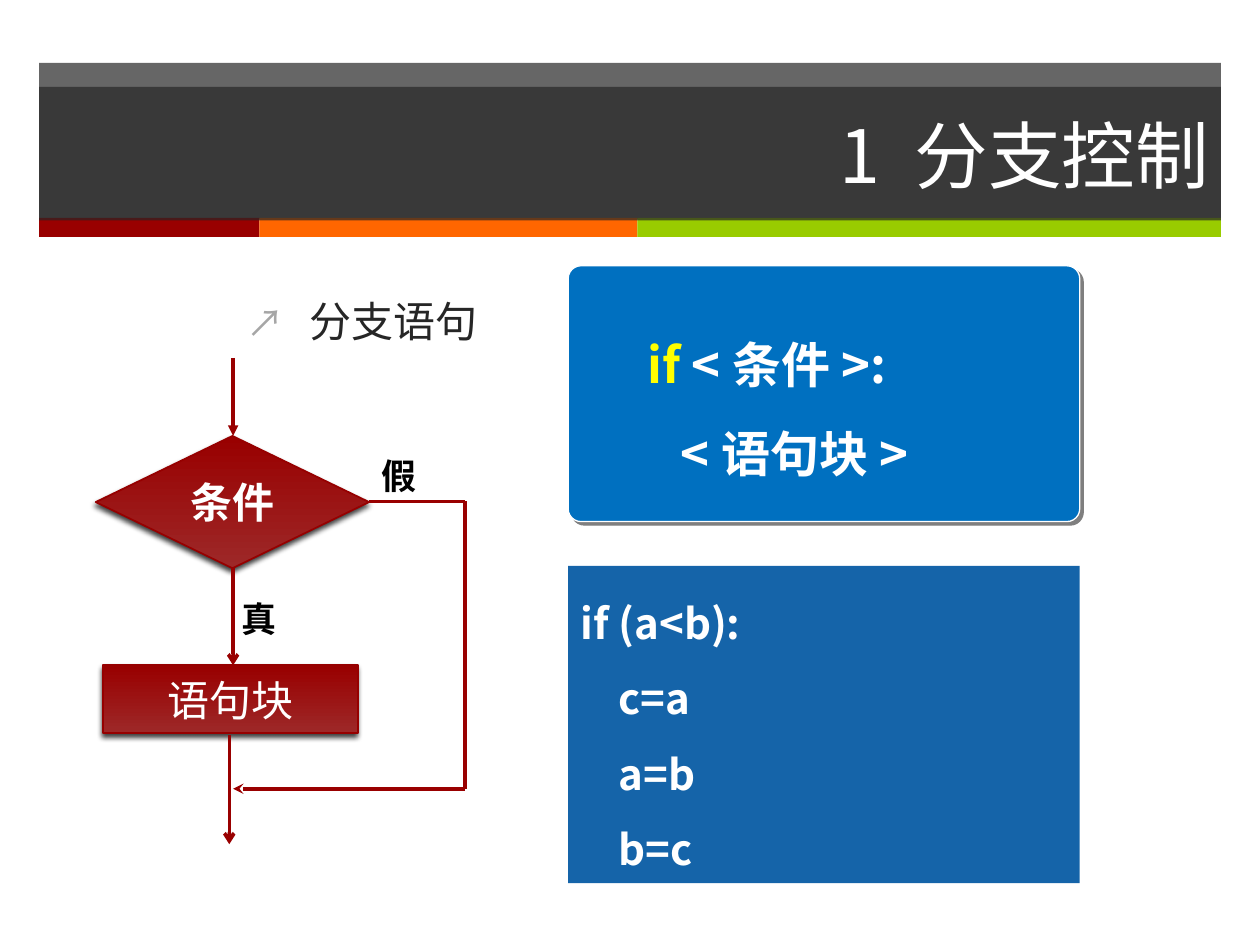
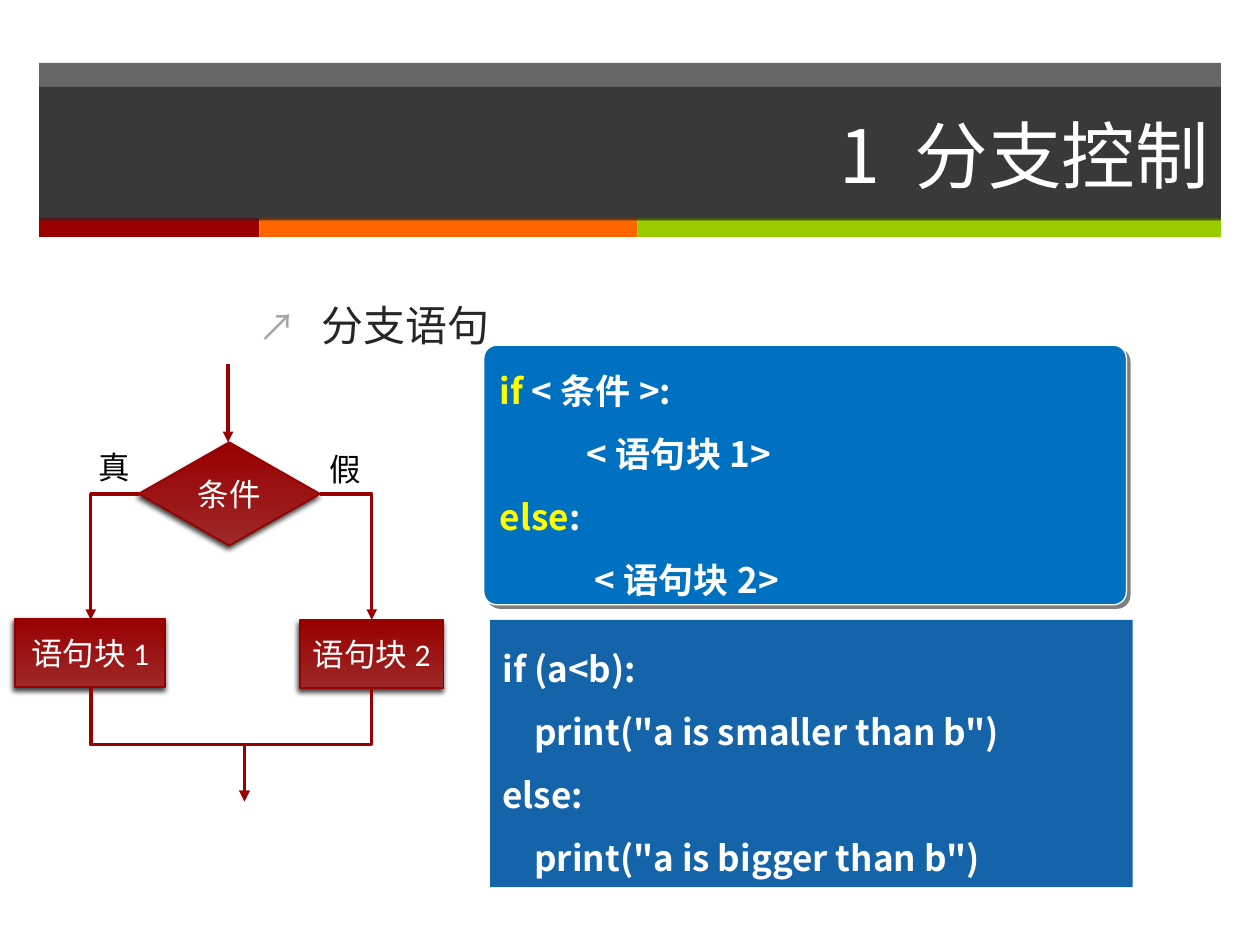
from lxml.etree import SubElement
from pptx import Presentation
from pptx.dml.color import RGBColor
from pptx.enum.shapes import MSO_CONNECTOR, MSO_SHAPE
from pptx.enum.text import MSO_ANCHOR, MSO_AUTO_SIZE, PP_ALIGN
from pptx.oxml.ns import qn
from pptx.util import Inches, Pt

GRAY = RGBColor(0x26, 0x26, 0x26)
PALE = RGBColor(0xA6, 0xA6, 0xA6)
RED = RGBColor(0x99, 0x00, 0x00)
ROSE = RGBColor(0x9D, 0x28, 0x28)
EDGE = RGBColor(0x96, 0x00, 0x00)
ORANGE = RGBColor(0xFF, 0x66, 0x00)
GREEN = RGBColor(0x99, 0xCC, 0x00)
BLUE = RGBColor(0x00, 0x70, 0xC0)
NAVY = RGBColor(0x15, 0x64, 0xA9)
YELLOW = RGBColor(0xFF, 0xFF, 0x00)
WHITE = RGBColor(0xFF, 0xFF, 0xFF)
BLACK = RGBColor(0x00, 0x00, 0x00)
NOTO = "Noto Sans CJK SC"

deck = Presentation()
deck.slide_width, deck.slide_height = Inches(10), Inches(7.5)
COL, ROW = deck.slide_width / 100, deck.slide_height / 75  # grid cell


def put(page, box, text=(), kind=None, fill=None, clear=None, edge=None, glow=None,
        font=NOTO, size=24, color=WHITE, bold=False, align=PP_ALIGN.LEFT,
        anchor=MSO_ANCHOR.TOP, space=None, wrap=True, grow=False, mark=None):
    """Place a shape or text box; text is a string or (indent, runs) lines."""
    x, y, w, h = box
    area = [round(n) for n in (x * COL, y * ROW, w * COL, h * ROW)]
    if kind is None:
        shape = page.shapes.add_textbox(*area)
    else:
        shape = page.shapes.add_shape(kind, *area)
        shape.shadow.inherit = False
        if isinstance(fill, RGBColor):
            shape.fill.solid()
            shape.fill.fore_color.rgb = fill
        else:
            shape.fill.gradient()
            shape.fill.gradient_angle = 90
            for stop, tone in zip(shape.fill.gradient_stops, fill):
                stop.color.rgb = tone
        if clear:
            tone = shape._element.spPr.find(".//" + qn("a:srgbClr"))
            SubElement(tone, qn("a:alpha"), val=str(clear * 1000))
        if edge:
            shape.line.color.rgb, shape.line.width = edge[0], Pt(edge[1])
        else:
            shape.line.fill.background()
        if glow:
            alpha, blur, far, turn = glow
            cast = SubElement(shape._element.spPr.find(qn("a:effectLst")), qn("a:outerShdw"),
                              blurRad=str(Pt(blur)), dist=str(Pt(far)),
                              dir=str(turn * 60000), algn="ctr", rotWithShape="0")
            tone = SubElement(cast, qn("a:srgbClr"), val="000000")
            SubElement(tone, qn("a:alpha"), val=str(alpha * 1000))
    if not text:
        return shape
    frame = shape.text_frame
    frame.word_wrap, frame.vertical_anchor = wrap, anchor
    frame.auto_size = MSO_AUTO_SIZE.SHAPE_TO_FIT_TEXT if grow else MSO_AUTO_SIZE.NONE
    lines = [(0, [(text, color)])] if isinstance(text, str) else text
    for num, (indent, runs) in enumerate(lines):
        para = frame.add_paragraph() if num else frame.paragraphs[0]
        props = para._p.get_or_add_pPr()
        props.set("marL", str(round(indent * COL)))
        props.set("indent", str(round(-indent * COL)) if mark else "0")
        if mark:
            SubElement(SubElement(props, qn("a:buClr")), qn("a:srgbClr"), val=str(PALE))
            SubElement(props, qn("a:buSzPct"), val="90000")
            SubElement(props, qn("a:buFont"), typeface=NOTO)
            SubElement(props, qn("a:buChar"), char=mark)
        para.alignment = align
        if space:
            para.line_spacing = space
        for words, tone in runs:
            run = para.add_run()
            run.text = words
            run.font.name, run.font.size = font, Pt(size)
            run.font.bold, run.font.color.rgb = bold, tone
            latin = run._r.rPr.find(qn("a:latin"))
            east = SubElement(run._r.rPr, qn("a:ea"), typeface=NOTO)
            latin.addnext(east)
    return shape


def link(page, start, end, tip=None, bend=None, turn=0, flip=None):
    """Join two grid points; bend names the elbow, turn and flip orient it."""
    (x1, y1), (x2, y2) = start, end
    style = MSO_CONNECTOR.ELBOW if bend else MSO_CONNECTOR.STRAIGHT
    if bend:
        wide, high = abs(x2 - x1), abs(y2 - y1)
        if turn in (90, 270):
            wide, high = high, wide
        midx, midy = (x1 + x2) / 2, (y1 + y2) / 2
        x1, x2 = midx - wide / 2, midx + wide / 2
        y1, y2 = midy - high / 2, midy + high / 2
    line = page.shapes.add_connector(style, round(x1 * COL), round(y1 * ROW),
                                     round(x2 * COL), round(y2 * ROW))
    line.line.color.rgb, line.line.width = RED, Pt(2)
    props = line._element.spPr
    if bend:
        props.find(qn("a:prstGeom")).set("prst", bend)
        frame = props.find(qn("a:xfrm"))
        frame.set("rot", str(turn * 60000))
        if flip:
            frame.set(flip, "1")
    if tip:
        SubElement(props.find(qn("a:ln")), qn("a:tailEnd"), type=tip)
    SubElement(props, qn("a:effectLst"))


# Shared formats
RECT = MSO_SHAPE.RECTANGLE
STEP = MSO_SHAPE.FLOWCHART_PROCESS
TEST = MSO_SHAPE.FLOWCHART_DECISION
NODE = dict(fill=(ROSE, RED), edge=(EDGE, 1), glow=(75, 3, 2, 110), font="Calibri",
            align=PP_ALIGN.CENTER, anchor=MSO_ANCHOR.MIDDLE)
TAG = dict(font="Calibri", color=BLACK, wrap=False, grow=True)
CODE = dict(kind=RECT, fill=NAVY, bold=True, space=1.5, grow=True)
RULE = dict(kind=MSO_SHAPE.ROUNDED_RECTANGLE, fill=BLUE, edge=(WHITE, 0.75),
            glow=(50, 0, 2.8, 45), bold=True, space=1.5, anchor=MSO_ANCHOR.MIDDLE)
LEFT, SPAN = 3.1, 93.8

# Frame of both slides: bands, title, topic
pages = []
for topx, topy in ((18.6, 23), (19.5, 23.3)):
    page = deck.slides.add_slide(deck.slide_layouts[6])
    put(page, (LEFT, 5, SPAN, 12.4), kind=RECT, fill=GRAY, clear=70)
    x = LEFT
    for wide, tone in ((17.5, RED), (30, ORANGE), (46.3, GREEN)):
        put(page, (x, 17.3, wide, 1.5), kind=RECT, fill=tone)
        x += wide
    put(page, (LEFT, 6.9, SPAN, 10.6), "1 分支控制", kind=RECT, fill=GRAY, clear=70,
        size=42, align=PP_ALIGN.RIGHT, anchor=MSO_ANCHOR.MIDDLE)
    put(page, (topx, topy, 77.4, 43.7), [(5, [("分支语句", GRAY)])], mark="↗")
    pages.append(page)
one, two = pages

# Slide 1: flow of a single branch
put(one, (7.6, 34.6, 21.7, 10.5), "条件", kind=TEST, bold=True, **NODE)
put(one, (8.2, 52.8, 20.2, 5.4), "语句块", kind=STEP, **NODE)
for x, y, word in ((18.2, 46.9, "真"), (29.3, 35.6, "假")):
    put(one, (x, y, 4.8, 4.4), word, size=20, bold=True, **TAG)
for start, end, tip in (
        ((18.5, 28.4), (18.5, 34.6), "triangle"),
        ((18.5, 45.1), (18.5, 52.8), "arrow"),
        ((18.2, 58.3), (18.2, 67), "arrow"),
        ((29.3, 39.8), (36.9, 39.8), None),
        ((36.9, 39.8), (36.9, 62.6), None),
        ((36.9, 62.6), (18.5, 62.6), "stealth")):
    link(one, start, end, tip)

# Slide 1: syntax and sample
code = ("if (a<b):", "    c=a", "    a=b", "    b=c")
put(one, (45.1, 44.9, 40.6, 25.2), [(0, [(row, WHITE)]) for row in code], **CODE)
rule = put(one, (45.1, 21.1, 40.6, 20.3),
           [(5, [("if ", YELLOW), ("<条件>:", WHITE)]), (5, [("   <语句块>", WHITE)])],
           size=28, **RULE)
rule.adjustments[0] = 0.05

# Slide 2: flow of two branches
put(two, (11, 35.1, 14.4, 8.2), "条件", kind=TEST, size=18, **NODE)
for x, y, wide, word in ((23.8, 49.2, 11.4, "语句块2"), (1.2, 49.1, 11.9, "语句块1")):
    put(two, (x, y, wide, 5.4), word, kind=STEP, size=18, **NODE)
for x, y, word in ((25.2, 35.2, "假"), (6.8, 35.1, "真")):
    put(two, (x, y, 4.5, 4), word, size=18, **TAG)
for start, end, bend, turn, flip in (
        ((25.4, 39.2), (29.5, 49.2), "bentConnector2", 0, None),
        ((11, 39.2), (7.2, 49.2), "bentConnector2", 180, "flipV"),
        ((29.5, 54.6), (19.4, 63.6), "bentConnector3", 90, None),
        ((7.2, 54.6), (19.4, 63.6), "bentConnector3", 270, "flipH"),
        ((18.1, 28.9), (18.1, 35.1), None, 0, None)):
    link(two, start, end, "triangle", bend, turn, flip)

# Slide 2: sample and syntax
code = ("if (a<b):", '    print("a is smaller than b")',
        "else:", '    print("a is bigger than b")')
put(two, (38.9, 49.2, 51, 21.2), [(0, [(row, WHITE)]) for row in code], size=20, **CODE)
rule = put(two, (38.4, 27.4, 51, 20.6),
           [(0, [("if ", YELLOW), ("<条件>:", WHITE)]), (5, [("   <语句块1>", WHITE)]),
            (0, [("else", YELLOW), (":", WHITE)]), (5, [("    <语句块2>", WHITE)])],
           size=20, **RULE)
rule.adjustments[0] = 0.05

deck.save("out.pptx")
